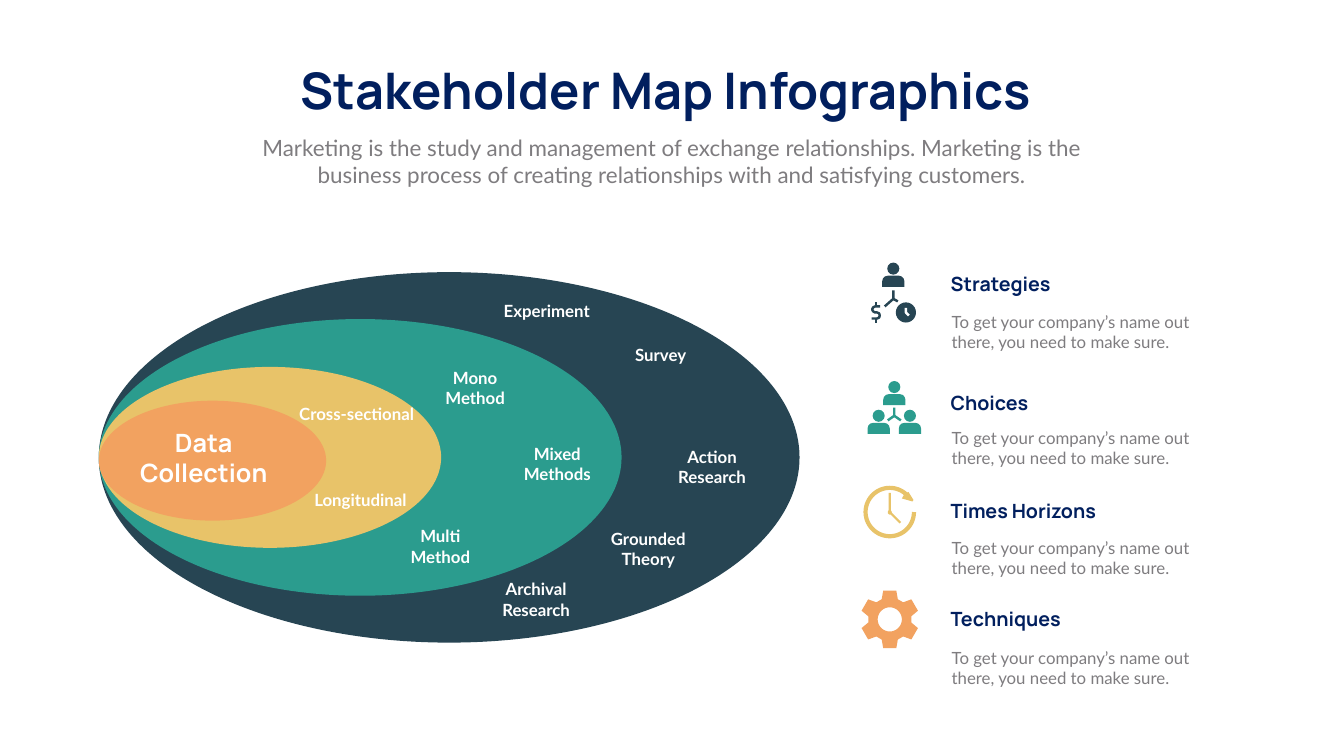
from dataclasses import dataclass
from math import cos, radians, sin

from pptx import Presentation
from pptx.dml.color import RGBColor
from pptx.enum.shapes import MSO_SHAPE
from pptx.enum.text import MSO_ANCHOR, MSO_AUTO_SIZE, PP_ALIGN
from pptx.util import Inches, Pt

OVAL = MSO_SHAPE.OVAL
SHOULDERS = MSO_SHAPE.ROUND_2_SAME_RECTANGLE
LEFT, CENTER = PP_ALIGN.LEFT, PP_ALIGN.CENTER


@dataclass(frozen=True)
class Theme:
    heading_font: str = "Manrope"
    body_font: str = "Lato"
    navy: str = "011F5E"
    gray: str = "7E7C7F"
    white: str = "FFFFFF"
    slate: str = "274553"
    teal: str = "2B9C8E"
    gold: str = "E8C369"
    orange: str = "F2A260"
    title_size: int = 72
    core_size: int = 36
    subtitle_size: int = 32
    heading_size: int = 28
    body_size: int = 24


theme = Theme()
deck = Presentation()
deck.slide_width, deck.slide_height = Inches(26.66), Inches(15)
page = deck.slides.add_slide(deck.slide_layouts[0])


def write_text(box, bounds, text, font, size, color, bold=False, align=CENTER):
    """Place a text box or placeholder and fill it, one paragraph per line."""
    box.left, box.top, box.width, box.height = map(Inches, bounds)
    frame = box.text_frame
    frame.text = text
    frame.word_wrap = True
    frame.auto_size = MSO_AUTO_SIZE.NONE
    frame.vertical_anchor = MSO_ANCHOR.TOP
    for para in frame.paragraphs:
        para.alignment = align
        para.space_before = Pt(0)
        para.font.name = font
        para.font.size = Pt(size)
        para.font.bold = bold
        para.font.color.rgb = RGBColor.from_string(color)


def draw_outline(contours, color, line_width=None):
    """Draw closed filled contours, or open strokes if a line width is given."""
    builder = None
    for start, *rest in contours:
        x, y = map(Inches, start)
        if builder is None:
            builder = page.shapes.build_freeform(x, y)
        else:
            builder.move_to(x, y)
        builder.add_line_segments(
            [(Inches(px), Inches(py)) for px, py in rest], close=line_width is None)
    shape = builder.convert_to_shape()
    shape.shadow.inherit = False
    if line_width is None:
        shape.fill.solid()
        shape.fill.fore_color.rgb = RGBColor.from_string(color)
        shape.line.fill.background()
    else:
        shape.fill.background()
        shape.line.color.rgb = RGBColor.from_string(color)
        shape.line.width = Pt(line_width)


# Title and subtitle
write_text(page.shapes.title, (5.18, 1.12, 16.06, 1.31), "Stakeholder Map Infographics",
           theme.heading_font, theme.title_size, theme.navy, bold=True)
write_text(page.placeholders[1], (4.58, 2.61, 17.49, 1.18),
           "Marketing is the study and management of exchange relationships. Marketing is the "
           "business process of creating relationships with and satisfying customers.",
           theme.body_font, theme.subtitle_size, theme.gray)

# Nested ellipses share their left edge; the icons' solid parts follow
solids = [
    (OVAL, (1.96, 5.4, 13.9, 7.35), theme.slate),
    (OVAL, (1.96, 6.33, 10.37, 5.49), theme.teal),
    (OVAL, (1.96, 7.28, 6.79, 3.59), theme.gold),
    (OVAL, (1.96, 7.95, 4.51, 2.38), theme.orange),
    (OVAL, (17.77, 6, 0.4, 0.4), theme.slate),
    (OVAL, (17.61, 10.12, 0.08, 0.09), theme.gold),
]
people = [(17.72, 5.21, theme.slate), (17.74, 7.56, theme.teal),
          (17.43, 8.13, theme.teal), (18.05, 8.13, theme.teal)]
for center_x, top, color in people:
    solids += [(OVAL, (center_x - 0.12, top, 0.24, 0.24), color),
               (SHOULDERS, (center_x - 0.22, top + 0.26, 0.44, 0.22), color)]
for preset, bounds, color in solids:
    shape = page.shapes.add_shape(preset, *map(Inches, bounds))
    shape.shadow.inherit = False
    shape.fill.solid()
    shape.fill.fore_color.rgb = RGBColor.from_string(color)
    shape.line.fill.background()
    if preset == SHOULDERS:
        shape.adjustments[0] = 0.5

# Strategies icon: fork, dollar sign and clock hands
draw_outline([[(17.55, 6.08), (17.72, 5.93), (17.72, 5.76)],
              [(17.72, 5.93), (17.81, 5.98)]], theme.slate, 3.5)
draw_outline([[(17.46, 6.08), (17.36, 6.08), (17.32, 6.1), (17.3, 6.14), (17.32, 6.18),
               (17.36, 6.2), (17.4, 6.2), (17.44, 6.22), (17.45, 6.26), (17.44, 6.3),
               (17.4, 6.32), (17.29, 6.32)],
              [(17.38, 6), (17.38, 6.08)],
              [(17.38, 6.32), (17.38, 6.4)]], theme.slate, 3.5)
draw_outline([[(17.97, 6.11), (17.97, 6.2), (18.03, 6.26)]], theme.white, 3.5)

# Choices icon: fork between the three people
draw_outline([[(17.61, 8.34), (17.74, 8.25), (17.74, 8.09)],
              [(17.74, 8.25), (17.87, 8.34)]], theme.teal, 3.5)

# Times Horizons icon: open ring, arrowhead and hands
ring = [(17.65 + 0.48 * cos(radians(angle)), 10.16 + 0.48 * sin(radians(angle)))
        for angle in range(0, 316, 5)]
draw_outline([ring], theme.gold, 6)
draw_outline([[(17.93, 9.82), (17.89, 9.89), (18.1, 9.95), (18.12, 9.92), (18.02, 9.76)]],
             theme.gold)
draw_outline([[(17.65, 9.78), (17.65, 10.16), (17.86, 10.37)]], theme.gold, 3)

# Techniques icon: six-tooth gear with a round hole
gear_x, gear_y = 17.65, 12.29
tooth = [(-0.16, -0.4), (-0.13, -0.57), (0.13, -0.57), (0.16, -0.4)]
teeth = [(gear_x + x * cos(radians(turn)) - y * sin(radians(turn)),
          gear_y + x * sin(radians(turn)) + y * cos(radians(turn)))
         for turn in range(0, 360, 60) for x, y in tooth]
hole = [(gear_x + 0.24 * cos(radians(angle)), gear_y - 0.24 * sin(radians(angle)))
        for angle in range(0, 360, 10)]
draw_outline([teeth, hole], theme.orange)

# Labels inside the ellipses
write_text(page.shapes.add_textbox(0, 0, 0, 0), (2.43, 8.42, 3.22, 1.31), "Data Collection",
           theme.heading_font, theme.core_size, theme.white, bold=True)
labels = [
    ("Cross-sectional", 5.76, 7.96, 2.63),
    ("Longitudinal", 6.08, 9.66, 2.14),
    ("Mono Method", 8.61, 7.24, 1.63),
    ("Multi\nMethod", 7.92, 10.39, 1.63),
    ("Mixed\nMethods", 10.24, 8.75, 1.63),
    ("Experiment", 9.82, 5.91, 2.05),
    ("Archival\nResearch", 9.82, 11.44, 1.63),
    ("Grounded\nTheory", 11.84, 10.44, 2.04),
    ("Survey", 12.29, 6.8, 1.63),
    ("Action\nResearch", 13.31, 8.82, 1.63),
]
for text, left, top, width in labels:
    height = 0.91 if "\n" in text or " " in text else 0.5
    write_text(page.shapes.add_textbox(0, 0, 0, 0), (left, top, width, height), text,
               theme.body_font, theme.body_size, theme.white, bold=True)

# Legend
legend = [("Strategies", 5.34, 6.13), ("Choices", 7.71, 8.43),
          ("Times Horizons", 9.85, 10.62), ("Techniques", 11.99, 12.8)]
for heading, heading_top, body_top in legend:
    write_text(page.shapes.add_textbox(0, 0, 0, 0), (18.76, heading_top, 4.66, 0.57), heading,
               theme.heading_font, theme.heading_size, theme.navy, bold=True, align=LEFT)
    write_text(page.shapes.add_textbox(0, 0, 0, 0), (18.78, body_top, 4.97, 0.91),
               "To get your company’s name out there, you need to make sure.",
               theme.body_font, theme.body_size, theme.gray, align=LEFT)

deck.save("out.pptx")
